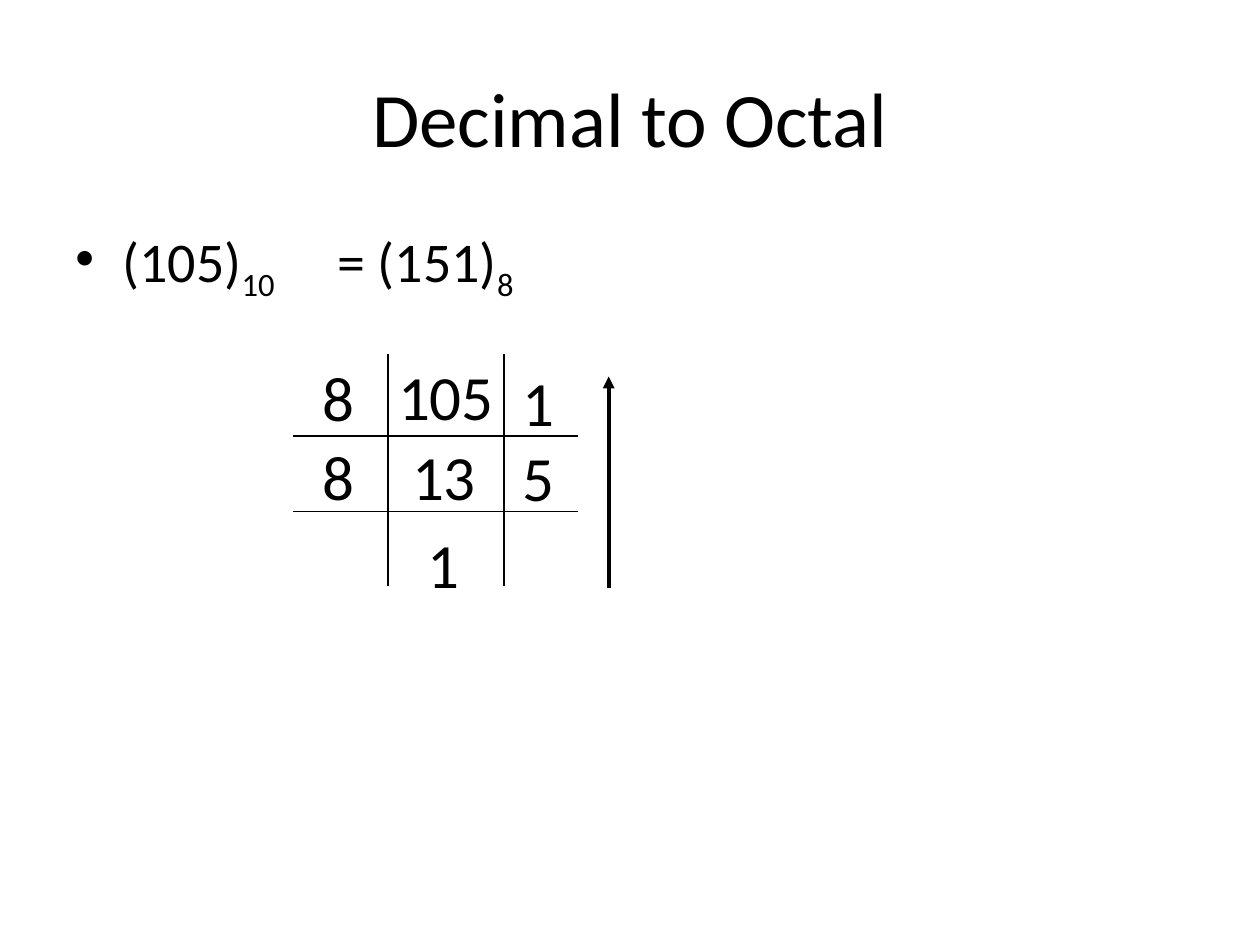
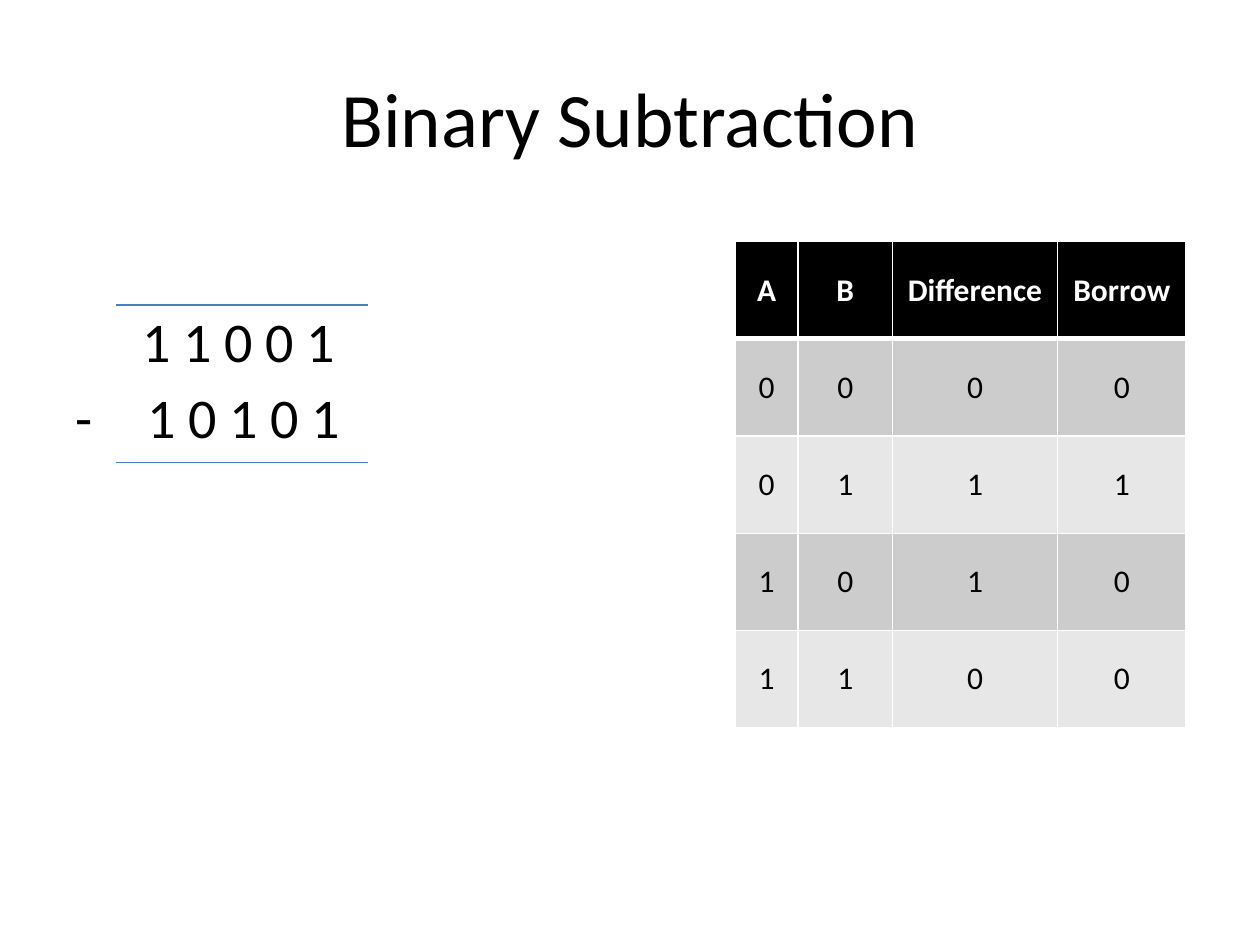
"""Build two slides on number systems: decimal to octal, and binary subtraction."""
from itertools import accumulate

from pptx import Presentation
from pptx.dml.color import RGBColor
from pptx.enum.shapes import MSO_CONNECTOR
from pptx.enum.text import MSO_ANCHOR, PP_ALIGN
from pptx.oxml.ns import qn
from pptx.util import Cm, Pt
from lxml.etree import SubElement

FONT = "Calibri"
BLACK, WHITE, BLUE = "000000", "FFFFFF", "4B7EBC"
BANDS = ["CCCCCC", "E7E7E7"]
BODY_LEFT, BODY_TOP, BODY_WIDTH, BODY_BOTTOM = 1.27, 4.45, 22.86, 17.02

OCTAL_TITLE = "Decimal to Octal"
DECIMAL = [("(105)", False), ("10", True)]
OCTAL = [("= (151)", False), ("8", True)]
GRID_LEFT, GRID_TOP = 5.92, 7.16
GRID_COLS, GRID_ROWS = [1.9, 2.34, 1.47], [1.63, 1.52, 1.52]
DIVISION_STEPS = [
    (0, 6.99, "8"), (2, 7.09, "1"),
    (0, 8.59, "8"), (1, 8.59, "13"), (2, 8.61, "5"),
    (1, 10.36, "1"),
]

SUBTRACTION_TITLE = "Binary Subtraction"
OPERANDS = [("1 1 0 0 1", 1.35, 0), ("-\t1 0 1 0 1", 1.46, -1.46)]
RULES_Y = [6.15, 9.32]
TRUTH_COLS, TRUTH_ROW = [1.27, 1.9, 3.33, 2.59], 1.96
TRUTH_TABLE = [
    ["A", "B", "Difference", "Borrow"],
    ["0", "0", "0", "0"],
    ["0", "1", "1", "1"],
    ["1", "0", "1", "0"],
    ["1", "1", "0", "0"],
]


def rgb(value):
    return RGBColor.from_string(value)


def style(p, size, color=BLACK, bold=False):
    for r in p.runs:
        r.font.name, r.font.size, r.font.bold = FONT, Pt(size), bold
        r.font.color.rgb = rgb(color)


def add_box(s, left, top, width, height, wrap=True):
    tf = s.shapes.add_textbox(Cm(left), Cm(top), Cm(width), Cm(height)).text_frame
    tf.word_wrap = wrap
    return tf


def add_slide(prs, title):
    s = prs.slides.add_slide(prs.slide_layouts[6])
    tf = add_box(s, BODY_LEFT, 0.76, BODY_WIDTH, 3.18)
    tf.vertical_anchor = MSO_ANCHOR.MIDDLE
    tf.text = title
    p = tf.paragraphs[0]
    p.alignment = PP_ALIGN.CENTER
    style(p, 44)
    return s


def add_number(p, parts):
    for text, subscript in parts:
        r = p.add_run()
        r.text = text
        if subscript:
            r._r.get_or_add_rPr().set("baseline", "-25000")
    style(p, 32)


def set_indent(p, left, first):
    pPr = p._p.get_or_add_pPr()
    pPr.set("marL", str(Cm(left)))
    pPr.set("indent", str(Cm(first)))
    return pPr


def add_line(s, x1, y1, x2, y2, color, width, arrow=False):
    line = s.shapes.add_connector(MSO_CONNECTOR.STRAIGHT, Cm(x1), Cm(y1), Cm(x2), Cm(y2))
    line.line.color.rgb = rgb(color)
    line.line.width = Pt(width)
    if arrow:
        SubElement(line.line._get_or_add_ln(), qn("a:tailEnd"), type="triangle")
    SubElement(line._element.spPr, qn("a:effectLst"))


def add_grid(s, left, top, cols, rows):
    table = s.shapes.add_table(len(rows), len(cols), Cm(left), Cm(top),
                               Cm(sum(cols)), Cm(sum(rows))).table
    table.first_row = table.horz_banding = False
    for col, width in zip(table.columns, cols):
        col.width = Cm(width)
    for row, height in zip(table.rows, rows):
        row.height = Cm(height)
    return table


def set_borders(cell, color, widths):
    for side in "LRTB":
        if side in widths:
            ln = SubElement(cell._tc.get_or_add_tcPr(), qn(f"a:ln{side}"),
                            w=str(Pt(widths[side])))
            fill = SubElement(ln, qn("a:solidFill"))
            SubElement(fill, qn("a:srgbClr"), val=color)


def set_cell_text(cell, text, size, color=BLACK, bold=False):
    cell.text = text
    cell.vertical_anchor = MSO_ANCHOR.MIDDLE
    p = cell.text_frame.paragraphs[0]
    p.alignment = PP_ALIGN.CENTER
    style(p, size, color, bold)
    return p


def build_octal(prs):
    s = add_slide(prs, OCTAL_TITLE)
    p = add_box(s, BODY_LEFT, BODY_TOP, BODY_WIDTH, BODY_BOTTOM - BODY_TOP).paragraphs[0]
    SubElement(set_indent(p, 0.95, -0.95), qn("a:buChar"), char="•")
    add_number(p, DECIMAL)
    add_number(add_box(s, 6.55, BODY_TOP, 4.17, 1.62, False).paragraphs[0], OCTAL)
    add_line(s, 12.27, 11.86, 12.27, 7.59, BLACK, 2.25, arrow=True)

    table = add_grid(s, GRID_LEFT, GRID_TOP, GRID_COLS, GRID_ROWS)
    last_row, last_col = len(GRID_ROWS) - 1, len(GRID_COLS) - 1
    for i, row in enumerate(table.rows):
        for j, cell in enumerate(row.cells):
            inner = {"L": j > 0, "R": j < last_col, "T": i > 0, "B": i < last_row}
            set_borders(cell, BLACK, {side: 1 for side, shown in inner.items() if shown})
            cell.fill.background()
    dividend = table.cell(0, 1)
    dividend.margin_left = dividend.margin_right = Cm(0.18)
    dividend.margin_top = dividend.margin_bottom = 0
    set_cell_text(dividend, "105", 36).line_spacing = 1.07

    edges = list(accumulate(GRID_COLS, initial=GRID_LEFT))
    for col, top, digits in DIVISION_STEPS:
        width = 0.53 + 0.64 * len(digits)
        center = (edges[col] + edges[col + 1]) / 2 - 0.04
        tf = add_box(s, center - width / 2, top, width, 1.83, False)
        tf.text = digits
        p = tf.paragraphs[0]
        p.alignment, p.line_spacing = PP_ALIGN.CENTER, 1.07
        style(p, 36)


def build_subtraction(prs):
    s = add_slide(prs, SUBTRACTION_TITLE)
    top = 6.05
    tf = add_box(s, BODY_LEFT, top, BODY_WIDTH, BODY_BOTTOM - top)
    for i, (text, left, first) in enumerate(OPERANDS):
        p = tf.add_paragraph() if i else tf.paragraphs[0]
        p.text = text
        tabs = SubElement(set_indent(p, left, first), qn("a:tabLst"))
        SubElement(tabs, qn("a:tab"), pos=str(Cm(left)), algn="l")
        if i:
            p.space_before = Pt(5)
        style(p, 32)

    table = add_grid(s, 14.82, 4.87, TRUTH_COLS, [TRUTH_ROW] * len(TRUTH_TABLE))
    for i, values in enumerate(TRUTH_TABLE):
        header = i == 0
        for j, value in enumerate(values):
            cell = table.cell(i, j)
            set_borders(cell, WHITE, {"L": 1, "R": 1, "T": 3 if i == 1 else 1,
                                      "B": 3 if header else 1})
            cell.fill.solid()
            cell.fill.fore_color.rgb = rgb(BLACK if header else BANDS[(i - 1) % 2])
            set_cell_text(cell, value, 18, WHITE if header else BLACK, header)
    for y in RULES_Y:
        add_line(s, 2.33, y, 7.41, y, BLUE, 0.75)


def main():
    prs = Presentation()
    prs.slide_width, prs.slide_height = Cm(25.4), Cm(19.05)
    build_octal(prs)
    build_subtraction(prs)
    prs.save("out.pptx")


if __name__ == "__main__":
    main()
